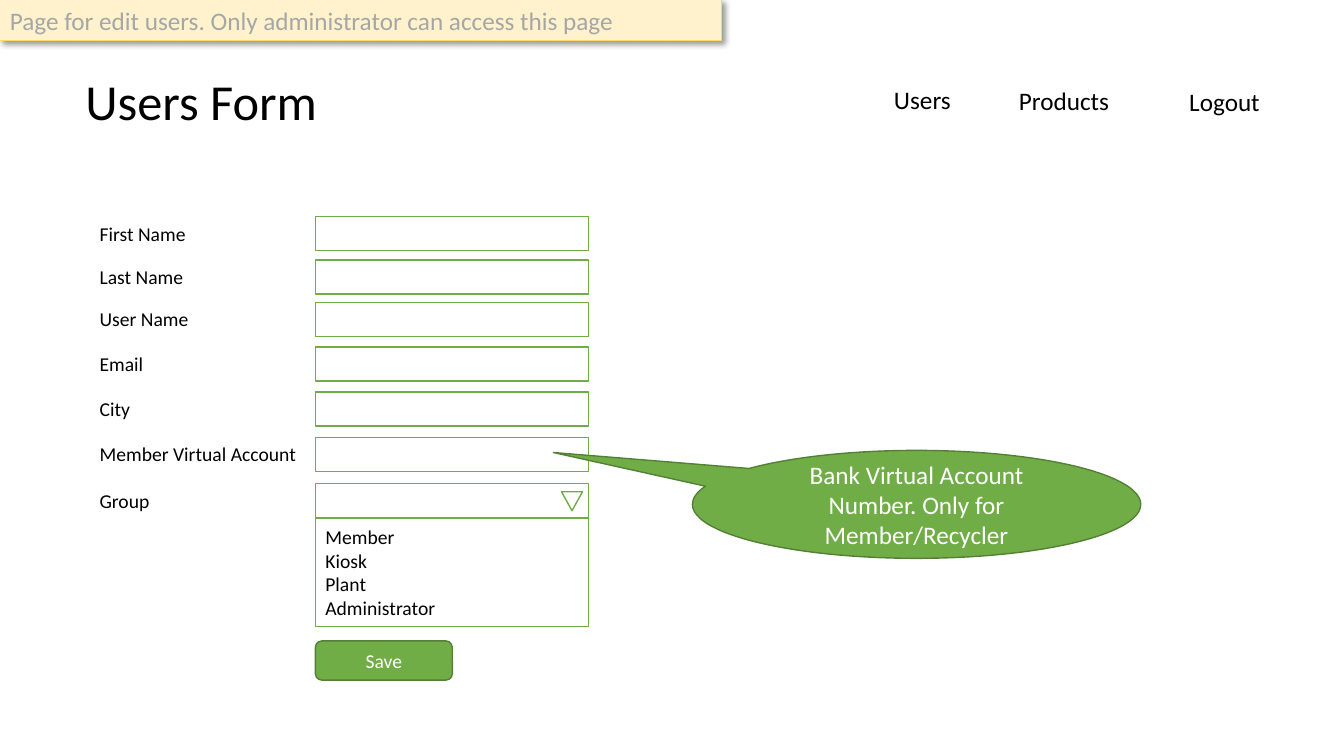
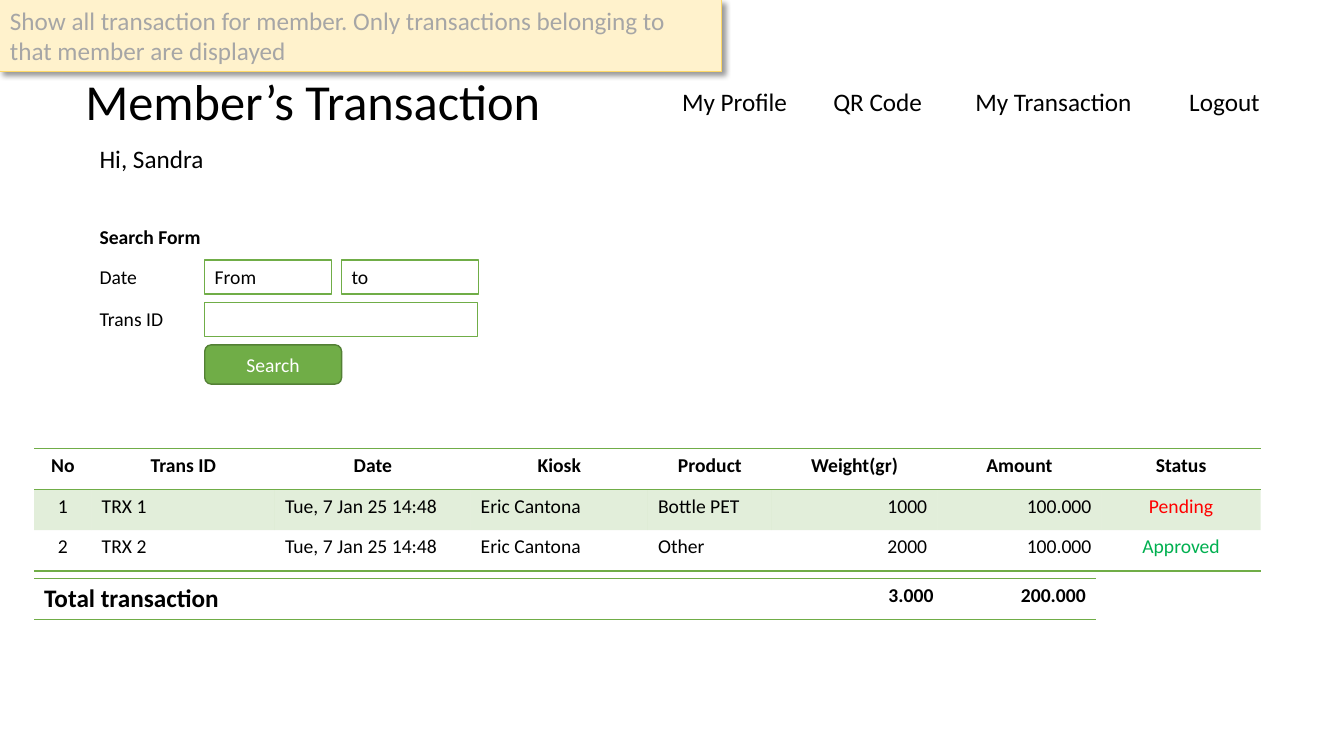
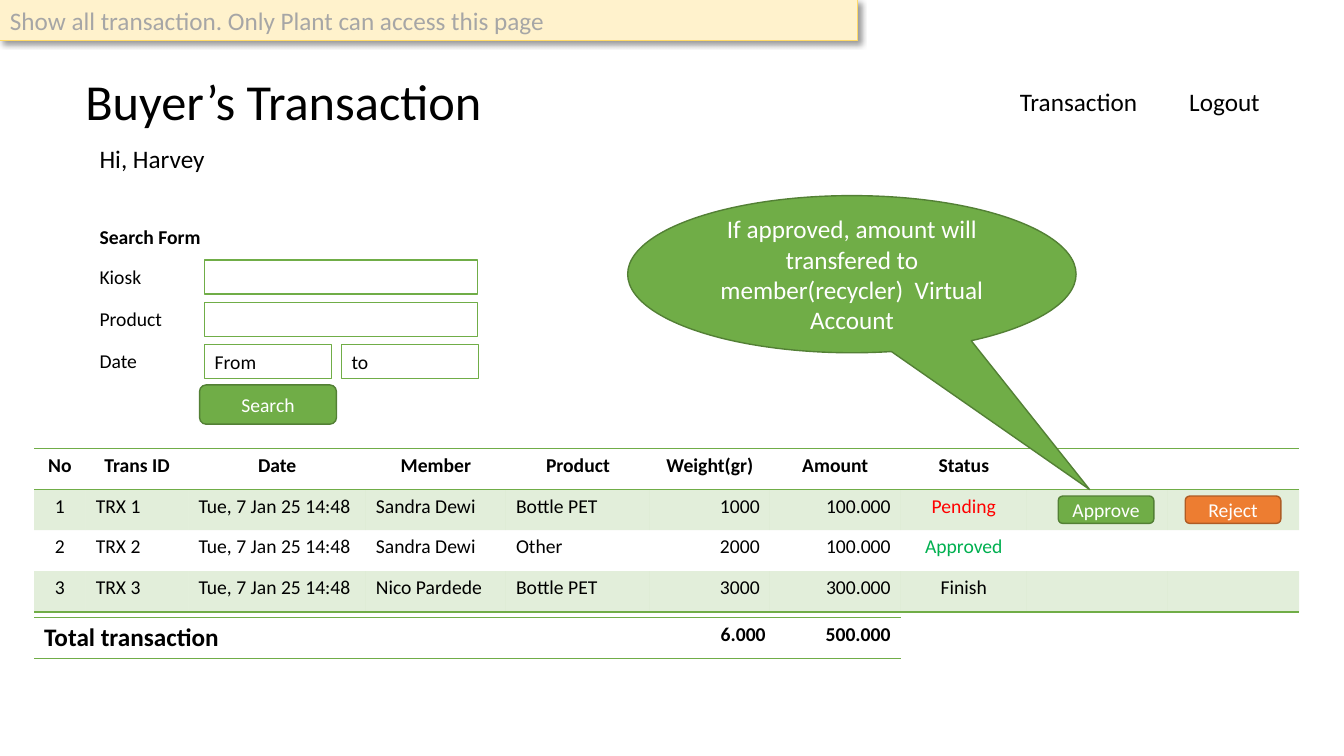
from lxml.etree import SubElement
from pptx import Presentation
from pptx.dml.color import RGBColor
from pptx.enum.shapes import MSO_SHAPE
from pptx.enum.text import MSO_ANCHOR, MSO_AUTO_SIZE, PP_ALIGN
from pptx.oxml import parse_xml
from pptx.oxml.ns import nsdecls, qn
from pptx.util import Cm, Pt

BLACK, WHITE, GREEN, DARK_GREEN = "000000", "FFFFFF", "70AD47", "538035"
ORANGE, DARK_ORANGE = "ED7D31", "AF5C24"
NOTE_FILL, NOTE_LINE, NOTE_TEXT = "FFF2CC", "FFD966", "A6A6A6"
STATUS_COLORS = {"Pending": "FF0000", "Approved": "00B050"}
ALIGN = {"l": PP_ALIGN.LEFT, "c": PP_ALIGN.CENTER, "r": PP_ALIGN.RIGHT}
PLAIN_TABLE = "{2D5ABB26-0587-4C30-8999-92F81FD0307C}"
LABEL_X, FIELD_H, ROW_H, TABLE_X = 2.26, 0.86, 1.03, 0.86
SEARCH_X, FIELD_W = 5.16, 6.88


def rgb(color):
    return RGBColor.from_string(color)


class Wireframe:
    """Page mock-ups in one style, drawn on the current slide."""

    def __init__(self):
        self.prs = Presentation()
        self.prs.slide_width, self.prs.slide_height = Cm(33.87), Cm(19.05)

    def page(self, title, note, note_w, note_h, nav):
        self.s = self.prs.slides.add_slide(self.prs.slide_layouts[6])
        self.text(1.9, 1.65, 13, 1.81, title, 36)
        for name, x, y in nav:
            self.text(x, y, 4.75, 1.02, name, 18)
        self.text_note(note, note_w, note_h)

    def set_text(self, tf, text, size, color=BLACK, bold=False, align="l"):
        tf.text = text
        for p in tf.paragraphs:
            p.alignment = ALIGN[align]
            for r in p.runs:
                r.font.name, r.font.size, r.font.bold = "Calibri", Pt(size), bold
                r.font.color.rgb = rgb(color)

    def text(self, x, y, w, h, text, size=14, bold=False):
        tf = self.s.shapes.add_textbox(Cm(x), Cm(y), Cm(w), Cm(h)).text_frame
        tf.word_wrap = True
        tf.auto_size = MSO_AUTO_SIZE.SHAPE_TO_FIT_TEXT
        self.set_text(tf, text, size, bold=bold)

    def label(self, y, text, bold=False):
        self.text(LABEL_X, y, 8.5, FIELD_H, text, bold=bold)

    def shape(self, kind, x, y, w, h, fill, line, weight=1):
        sp = self.s.shapes.add_shape(kind, Cm(x), Cm(y), Cm(w), Cm(h))
        sp.shadow.inherit = False
        sp.fill.solid()
        sp.fill.fore_color.rgb = rgb(fill)
        sp.line.color.rgb = rgb(line)
        sp.line.width = Pt(weight)
        sp.text_frame.vertical_anchor = MSO_ANCHOR.MIDDLE
        return sp

    def text_note(self, text, w, h):
        sp = self.shape(MSO_SHAPE.RECTANGLE, 0, 0, w, h, NOTE_FILL, NOTE_LINE, 0.75)
        sp.text_frame.vertical_anchor = MSO_ANCHOR.TOP
        sp.text_frame.auto_size = MSO_AUTO_SIZE.SHAPE_TO_FIT_TEXT
        self.set_text(sp.text_frame, text, 18, NOTE_TEXT)
        effects = sp._element.spPr.find(qn("a:effectLst"))
        effects.append(parse_xml(
            f'<a:outerShdw {nsdecls("a")} blurRad="{Pt(4)}" dist="{Pt(3)}" dir="2700000" '
            'algn="tl" rotWithShape="0"><a:srgbClr val="000000"><a:alpha val="40000"/>'
            '</a:srgbClr></a:outerShdw>'))

    def field(self, x, y, w=FIELD_W, h=FIELD_H, text=""):
        sp = self.shape(MSO_SHAPE.RECTANGLE, x, y, w, h, WHITE, GREEN)
        if text:
            self.set_text(sp.text_frame, text, 14)

    def labelled_field(self, x, y, text):
        self.label(y, text)
        self.field(x, y)

    def date_range(self, y):
        self.label(y, "Date")
        self.field(SEARCH_X, y, 3.2, text="From")
        self.field(8.61, y, 3.45, text="to")

    def drop_down(self, x, y, text, options):
        self.labelled_field(x, y, text)
        sp = self.shape(MSO_SHAPE.ISOSCELES_TRIANGLE, x + 6.2, y + 0.2, 0.53, 0.48, WHITE, GREEN)
        sp.rotation = 180
        self.field(x, y + FIELD_H, h=2.74, text="\n".join(options))

    def button(self, x, y, text, w=3.45, h=0.99, fill=GREEN, line=DARK_GREEN):
        sp = self.shape(MSO_SHAPE.ROUNDED_RECTANGLE, x, y, w, h, fill, line)
        self.set_text(sp.text_frame, text, 14, WHITE, align="c")

    def callout(self, x, y, h, tip, text):
        sp = self.shape(MSO_SHAPE.OVAL_CALLOUT, x, y, 11.3, h, GREEN, DARK_GREEN)
        sp.adjustments[0], sp.adjustments[1] = tip
        self.set_text(sp.text_frame, text, 18, WHITE, align="c")

    def grid(self, y, widths, n_rows):
        frame = self.s.shapes.add_table(n_rows, len(widths), Cm(TABLE_X), Cm(y),
                                        Cm(sum(widths)), Cm(ROW_H * n_rows))
        table = frame.table
        table._tbl.tblPr.find(qn("a:tableStyleId")).text = PLAIN_TABLE
        for column, w in zip(table.columns, widths):
            column.width = Cm(w)
        for i, row in enumerate(table.rows):
            row.height = Cm(ROW_H)
            sides = ["lnT"] * (i == 0) + ["lnB"] * (i in (0, n_rows - 1))
            for cell in row.cells:
                self.dress(cell, i % 2 == 1, sides)
        return table

    def dress(self, cell, tinted, sides):
        cell.fill.background()
        tcPr = cell._tc.get_or_add_tcPr()
        if tinted:
            cell.fill.solid()
            cell.fill.fore_color.rgb = rgb(GREEN)
            SubElement(tcPr.find(qn("a:solidFill"))[0], qn("a:alpha"), val="20000")
        for i, side in enumerate(sides):
            tcPr.insert(i, parse_xml(
                f'<a:{side} {nsdecls("a")} w="{Pt(1)}"><a:solidFill><a:srgbClr val="{GREEN}"/>'
                f'</a:solidFill></a:{side}>'))

    def transactions(self, y, widths, header, rows):
        table = self.grid(y, widths, len(rows) + 1)
        for j, name in enumerate(header):
            self.set_text(table.cell(0, j).text_frame, name, 14, bold=True, align="c")
        for i, row in enumerate(rows, 1):
            for j, (value, align) in enumerate(zip(row, "cllllrrc")):
                color = STATUS_COLORS.get(value, BLACK)
                self.set_text(table.cell(i, j).text_frame, value, 14, color, align=align)

    def totals(self, y, widths, weight, amount):
        table = self.grid(y, widths, 1)
        cells = (("Total transaction", 18, "l"), (weight, 14, "r"), (amount, 14, "r"))
        for j, (value, size, align) in enumerate(cells):
            self.set_text(table.cell(0, j).text_frame, value, size, bold=True, align=align)


def users_form(w):
    w.page("Users Form", "Page for edit users. Only administrator can access this page",
           18.19, 1.02, [("Users", 22.28, 2.01), ("Products", 25.43, 2.03), ("Logout", 29.72, 2.06)])
    x = 7.95
    fields = {"First Name": 5.46, "Last Name": 6.55, "User Name": 7.62, "Email": 8.74,
              "City": 9.88, "Member Virtual Account": 11.02}
    for name, y in fields.items():
        w.labelled_field(x, y, name)
    w.drop_down(x, 12.19, "Group", ["Member", "Kiosk", "Plant", "Administrator"])
    w.button(x, 16.15, "Save")
    w.callout(17.45, 11.35, 2.72, (-0.81, -0.48),
              "Bank Virtual Account Number. Only for Member/Recycler")


def member_transaction(w):
    w.page("Member’s Transaction", "Show all transaction for member. Only transactions "
           "belonging to that member are displayed", 18.19, 1.8,
           [("My Profile", 16.94, 2.06), ("QR Code", 20.75, 2.06),
            ("My Transaction", 24.33, 2.06), ("Logout", 29.72, 2.06)])
    w.text(LABEL_X, 3.48, 3.63, 1.02, "Hi, Sandra", 18)
    w.label(5.54, "Search Form", bold=True)
    w.date_range(6.55)
    w.labelled_field(SEARCH_X, 7.62, "Trans ID")
    w.button(SEARCH_X, 8.69, "Search")
    date, kiosk = "Tue, 7 Jan 25 14:48", "Eric Cantona"
    w.transactions(
        11.3, [1.45, 4.62, 4.93, 4.47, 3.12, 4.17, 4.14, 4.01],
        ["No", "Trans ID", "Date", "Kiosk", "Product", "Weight(gr)", "Amount", "Status"],
        [["1", "TRX 1", date, kiosk, "Bottle PET", "1000", "100.000", "Pending"],
         ["2", "TRX 2", date, kiosk, "Other", "2000", "100.000", "Approved"]])
    w.totals(14.58, [19.08, 3.84, 3.84], "3.000", "200.000")


def buyer_transaction(w):
    w.page("Buyer’s Transaction", "Show all transaction. Only Plant can access this page",
           21.62, 1.02, [("Transaction", 25.45, 2.06), ("Logout", 29.72, 2.06)])
    w.text(LABEL_X, 3.48, 3.63, 1.02, "Hi, Harvey", 18)
    w.label(5.54, "Search Form", bold=True)
    w.labelled_field(SEARCH_X, 6.55, "Kiosk")
    w.labelled_field(SEARCH_X, 7.62, "Product")
    w.date_range(8.68)
    w.button(5.03, 9.7, "Search")
    date = "Tue, 7 Jan 25 14:48"
    w.transactions(
        11.3, [1.3, 2.59, 4.47, 3.53, 3.63, 3.02, 3.3, 3.18, 3.53, 3.33],
        ["No", "Trans ID", "Date", "Member", "Product", "Weight(gr)", "Amount", "Status"],
        [["1", "TRX 1", date, "Sandra Dewi", "Bottle PET", "1000", "100.000", "Pending"],
         ["2", "TRX 2", date, "Sandra Dewi", "Other", "2000", "100.000", "Approved"],
         ["3", "TRX 3", date, "Nico Pardede", "Bottle PET", "3000", "300.000", "Finish"]])
    w.totals(15.57, [15.57, 3.12, 3.15], "6.000", "500.000")
    w.button(26.67, 12.5, "Approve", 2.41, 0.69)
    w.button(29.87, 12.5, "Reject", 2.41, 0.69, ORANGE, DARK_ORANGE)
    w.callout(15.82, 4.93, 3.96, (0.53, 1.37),
              "If approved, amount will transfered to member(recycler)  Virtual Account")


def main():
    w = Wireframe()
    users_form(w)
    member_transaction(w)
    buyer_transaction(w)
    w.prs.save("out.pptx")


if __name__ == "__main__":
    main()
